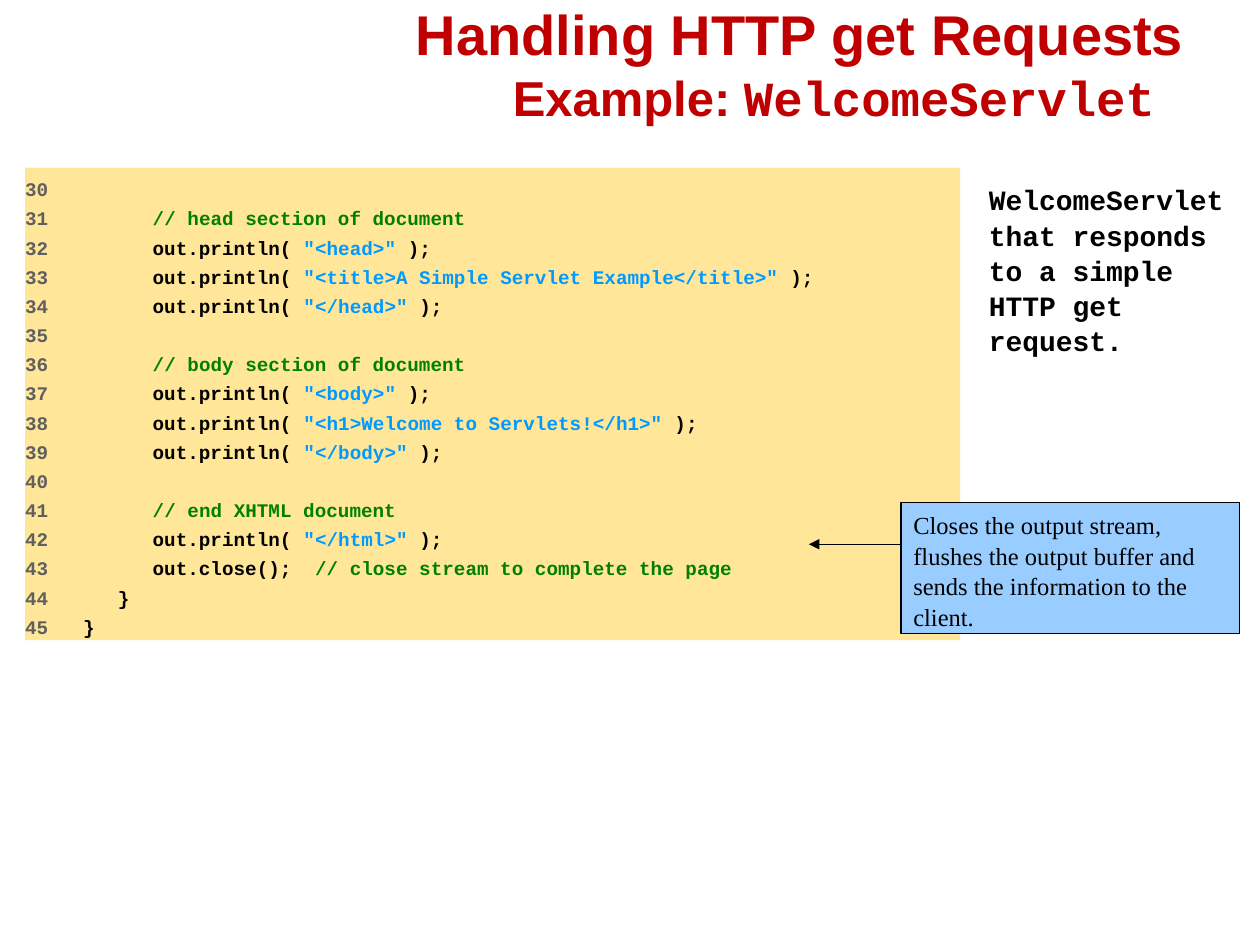
"""Build a slide that walks through the end of the WelcomeServlet listing."""
from lxml import etree
from pptx import Presentation
from pptx.dml.color import RGBColor
from pptx.enum.shapes import MSO_CONNECTOR, MSO_SHAPE
from pptx.enum.text import MSO_ANCHOR, MSO_AUTO_SIZE, PP_ALIGN
from pptx.oxml.ns import qn
from pptx.util import Inches, Pt

STRAIGHT = MSO_CONNECTOR.STRAIGHT
RECTANGLE = MSO_SHAPE.RECTANGLE
TOP, BOTTOM = MSO_ANCHOR.TOP, MSO_ANCHOR.BOTTOM
FIXED = MSO_AUTO_SIZE.NONE
LEFT, RIGHT = PP_ALIGN.LEFT, PP_ALIGN.RIGHT
TITLE_ONLY = 5
COLUMNS, ROWS = 100, 75
FIRST_LINE = 30

COLORS = {
    "title": "C00000", "code": "000000", "number": "5F5F5F",
    "comment": "008000", "string": "0099FF",
    "listing": "FFE699", "callout": "99CCFF", "line": "000000",
}
HEADING = {"name": "Arial", "size": Pt(32), "bold": True}
SUBHEADING = {**HEADING, "size": Pt(28)}
SERVLET_NAME = {**SUBHEADING, "name": "Courier New"}
NOTE = {"name": "Courier New", "size": Pt(16), "bold": True}
CODE = {**NOTE, "size": Pt(11)}
CALLOUT = {"name": "Times New Roman", "size": Pt(14), "bold": False}

LISTING = """
      // head section of document
      out.println( "<head>" );
      out.println( "<title>A Simple Servlet Example</title>" );
      out.println( "</head>" );

      // body section of document
      out.println( "<body>" );
      out.println( "<h1>Welcome to Servlets!</h1>" );
      out.println( "</body>" );

      // end XHTML document
      out.println( "</html>" );
      out.close();  // close stream to complete the page
   }
}"""


def highlight(number, source):
    """Split a numbered code line into (text, color, format) runs."""
    statement, slashes, remark = source.partition("//")
    runs = [(f"{number}   " if source else str(number), "number", CODE)]
    for index, piece in enumerate(statement.split('"')):
        quoted = index % 2 == 1
        runs.append((f'"{piece}"' if quoted else piece,
                     "string" if quoted else "code", CODE))
    runs.append((slashes + remark, "comment", CODE))
    return [run for run in runs if run[0]]


class SlideBuilder:
    """Holds the grid, the colors and the current slide."""

    def __init__(self, deck):
        """Add a title-only slide to the deck."""
        self.column = deck.slide_width / COLUMNS
        self.row = deck.slide_height / ROWS
        self.slide = deck.slides.add_slide(deck.slide_layouts[TITLE_ONLY])

    def area(self, left, top, width, height):
        """Turn grid columns and rows into slide lengths."""
        return [int(left * self.column), int(top * self.row),
                int(width * self.column), int(height * self.row)]

    def set_text(self, holder, paragraphs, align=LEFT, gap=0, spacing=1.0, **frame_format):
        """Fill a shape with paragraphs of (text, color, format) runs."""
        frame = holder.text_frame
        settings = {"word_wrap": True, "auto_size": FIXED,
                    "vertical_anchor": TOP, **frame_format}
        for key, value in settings.items():
            setattr(frame, key, value)
        for index, runs in enumerate(paragraphs):
            paragraph = frame.add_paragraph() if index else frame.paragraphs[0]
            paragraph.alignment = align
            paragraph.line_spacing = spacing
            paragraph.space_before = Pt(gap if index else 0)
            for text, color, style in runs:
                if text == "\n":
                    paragraph.add_line_break()
                    continue
                run = paragraph.add_run()
                run.text = text
                for key, value in style.items():
                    setattr(run.font, key, value)
                run.font.color.rgb = RGBColor.from_string(COLORS[color])

    def title(self, grid, runs):
        """Place the title placeholder."""
        heading = self.slide.shapes.title
        heading.left, heading.top, heading.width, heading.height = self.area(*grid)
        self.set_text(heading, [runs], RIGHT, vertical_anchor=BOTTOM,
                      margin_top=0, margin_bottom=0)

    def note(self, grid, runs, **layout):
        """Add plain text beside the listing."""
        self.set_text(self.slide.shapes.add_textbox(*self.area(*grid)), [runs], **layout)

    def panel(self, grid, color, paragraphs, outlined=False, **layout):
        """Add a filled rectangle with text."""
        box = self.slide.shapes.add_shape(RECTANGLE, *self.area(*grid))
        box.shadow.inherit = False
        box.fill.solid()
        box.fill.fore_color.rgb = RGBColor.from_string(COLORS[color])
        if outlined:
            box.line.color.rgb = RGBColor.from_string(COLORS["line"])
            box.line.width = Pt(0.75)
        else:
            box.line.fill.background()
        self.set_text(box, paragraphs, **layout)

    def arrow(self, start, tip, level):
        """Draw a level arrow from one column to another."""
        begin_x, y, end_x, _ = self.area(start, level, tip, 0)
        pointer = self.slide.shapes.add_connector(STRAIGHT, begin_x, y, end_x, y)
        pointer.line.color.rgb = RGBColor.from_string(COLORS["line"])
        pointer.line.width = Pt(0.75)
        properties = pointer._element.spPr
        etree.SubElement(properties.find(qn("a:ln")), qn("a:tailEnd"), type="triangle")
        etree.SubElement(properties, qn("a:effectLst"))


def main():
    """Assemble and save the slide."""
    deck = Presentation()
    deck.slide_width, deck.slide_height = Inches(10), Inches(7.5)
    builder = SlideBuilder(deck)
    builder.title((5, 0, 90, 10), [
        ("Handling HTTP get Requests", "title", HEADING),
        ("\n", "title", HEADING),
        (" Example: ", "title", SUBHEADING),
        ("WelcomeServlet ", "title", SERVLET_NAME),
    ])
    builder.note((77.5, 13.9, 22.5, 18.1), [
        ("WelcomeServlet that responds to a simple HTTP get request.", "code", NOTE),
    ], spacing=1.05)
    builder.panel((2, 13.3, 74.2, 37.5), "listing", [
        highlight(number, source)
        for number, source in enumerate(LISTING.split("\n"), FIRST_LINE)
    ], gap=2.8, spacing=1.05, margin_left=0, margin_top=Inches(0.07))
    builder.panel((71.5, 39.9, 26.9, 10.4), "callout", [[
        ("Closes the output stream, flushes the output buffer and sends "
         "the information to the client.", "code", CALLOUT),
    ]], outlined=True, spacing=1.04)
    builder.arrow(71.5, 64.2, 43.2)
    deck.save("out.pptx")


if __name__ == "__main__":
    main()
